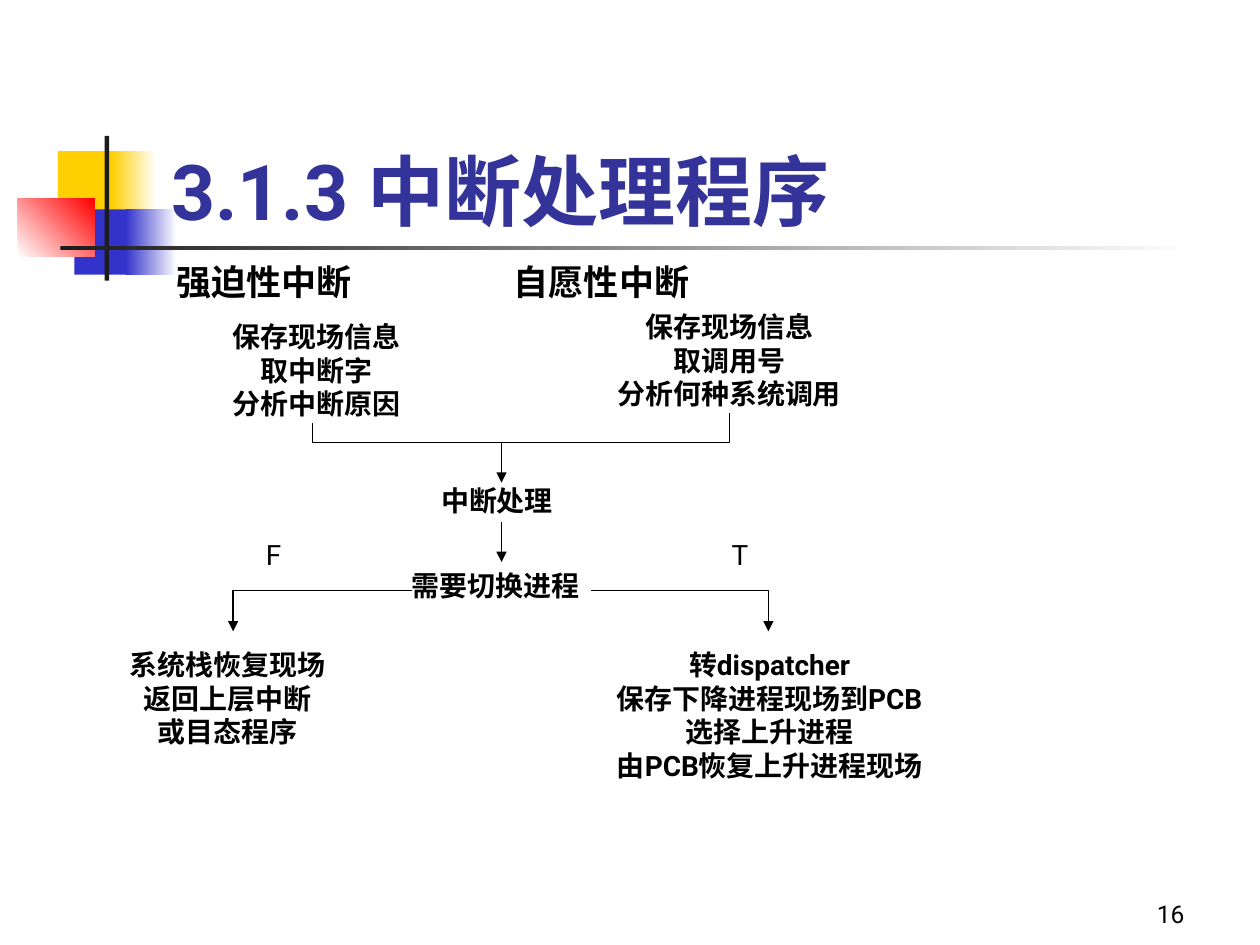
import pptx
import pptx.util
import pptx.dml.color
import pptx.enum.shapes
import pptx.enum.text
import lxml.etree
import pptx.oxml.ns

Cm = pptx.util.Cm
RGB = pptx.dml.color.RGBColor
ALIGN = pptx.enum.text.PP_ALIGN
LEFT, MID, RIGHT = ALIGN.LEFT, ALIGN.CENTER, ALIGN.RIGHT
TOP = pptx.enum.text.MSO_ANCHOR.TOP
LOW = pptx.enum.text.MSO_ANCHOR.BOTTOM

FONT = "Roboto"
BLACK = RGB(0x00, 0x00, 0x00)
WHITE = RGB(0xFF, 0xFF, 0xFF)
GOLD = RGB(0xFF, 0xCF, 0x01)
BLUE = RGB(0x33, 0x33, 0xCC)
RED = RGB(0xFF, 0x00, 0x00)
DARK = RGB(0x1C, 0x1C, 0x1C)
NAVY = RGB(0x33, 0x33, 0x99)

BARS = [
    ((1.17, 3.05, 1.22, 1.32), (GOLD,), 0),
    ((2.24, 3.05, 0.91, 1.32), (GOLD, WHITE), 0),
    ((1.5, 4.22, 1.17, 1.32), (BLUE,), 0),
    ((2.54, 4.22, 1.02, 1.32), (BLUE, WHITE), 0),
    ((0.36, 4.01, 1.55, 1.17), (WHITE, RED), 45),
    ((2.11, 2.74, 0.09, 2.92), (DARK,), 0),
    ((1.22, 4.95, 22.86, 0.09), (DARK, WHITE), 0),
]

TEXTS = [
    ((3.2, 1.7, 21.64, 3.18), ["3.1.3 中断处理程序"], 44, True, NAVY, LEFT, LOW),
    ((3.3, 5.13, 4.8, 1.12), ["强迫性中断"], 20, True, BLACK, LEFT, TOP),
    ((10.11, 5.13, 4.8, 1.12), ["自愿性中断"], 20, True, BLACK, LEFT, TOP),
    ((18.85, 17.58, 5.28, 1.27), ["16"], 14, False, BLACK, RIGHT, LOW),
]

STEPS = [
    ((4.29, 6.32, 4.19, 2.29), ["保存现场信息", "取中断字", "分析中断原因"]),
    ((11.91, 6.12, 5.59, 2.29), ["保存现场信息", "取调用号", "分析何种系统调用"]),
    ((8.18, 9.63, 3.68, 0.94), ["中断处理"]),
    ((7.9, 11.33, 4.19, 0.94), ["需要切换进程"]),
    ((2.29, 12.93, 4.6, 2.29), ["系统栈恢复现场", "返回上层中断", "或目态程序"]),
    ((11.91, 12.93, 7.21, 2.97),
     ["转dispatcher", "保存下降进程现场到PCB", "选择上升进程", "由PCB恢复上升进程现场"]),
]

MARKS = [("F", 5.11), ("T", 14.5)]

JOIN = [(6.3, 8.53), (6.3, 8.92), (14.71, 8.92), (14.71, 8.33)]
FORKS = [
    [(8.31, 11.91), (4.7, 11.91), (4.7, 12.73)],
    [(11.91, 11.91), (15.49, 11.91), (15.49, 12.73)],
]
DOWNS = [(8.92, 9.73), (10.52, 11.33)]
AXIS = 10.11


def add_bar(slide, box, tones, angle):
    rect = pptx.enum.shapes.MSO_SHAPE.RECTANGLE
    bar = slide.shapes.add_shape(rect, *map(Cm, box))
    bar.shadow.inherit = False
    bar.line.fill.background()
    if len(tones) == 1:
        bar.fill.solid()
        bar.fill.fore_color.rgb = tones[0]
        return
    bar.fill.gradient()
    bar.fill.gradient_angle = angle
    for stop, tone, place in zip(bar.fill.gradient_stops, tones, (0, 1)):
        stop.color.rgb = tone
        stop.position = place


def add_text(slide, box, lines, size=16, bold=True, tone=BLACK, align=MID, anchor=TOP):
    frame = slide.shapes.add_textbox(*map(Cm, box)).text_frame
    frame.word_wrap = True
    frame.vertical_anchor = anchor
    frame.text = "\n".join(lines)
    for para in frame.paragraphs:
        para.alignment = align
        for run in para.runs:
            run.font.name = FONT
            run.font.size = pptx.util.Pt(size)
            run.font.bold = bold
            run.font.color.rgb = tone


def style_line(shape, arrow):
    shape.line.color.rgb = BLACK
    shape.line.width = pptx.util.Pt(0.75)
    if arrow:
        tag = pptx.oxml.ns.qn("a:tailEnd")
        lxml.etree.SubElement(shape.line._get_or_add_ln(), tag, type="triangle")


def add_bend(slide, points, arrow):
    spots = [(Cm(x), Cm(y)) for x, y in points]
    pen = slide.shapes.build_freeform(*spots[0])
    pen.add_line_segments(spots[1:], close=False)
    bend = pen.convert_to_shape()
    bend.shadow.inherit = False
    bend.fill.background()
    style_line(bend, arrow)


def add_down(slide, start, end):
    kind = pptx.enum.shapes.MSO_CONNECTOR.STRAIGHT
    down = slide.shapes.add_connector(kind, Cm(AXIS), Cm(start), Cm(AXIS), Cm(end))
    style_line(down, True)
    tag = pptx.oxml.ns.qn("a:effectLst")
    lxml.etree.SubElement(down._element.spPr, tag)


def main():
    deck = pptx.Presentation()
    deck.slide_width, deck.slide_height = Cm(25.4), Cm(19.05)
    slide = deck.slides.add_slide(deck.slide_layouts[6])
    for bar in BARS:
        add_bar(slide, *bar)
    for text in TEXTS + STEPS:
        add_text(slide, *text)
    for mark, left in MARKS:
        add_text(slide, (left, 10.72, 0.81, 0.94), [mark], bold=False, align=LEFT)
    add_bend(slide, JOIN, False)
    for fork in FORKS:
        add_bend(slide, fork, True)
    for start, end in DOWNS:
        add_down(slide, start, end)
    deck.save("out.pptx")


if __name__ == "__main__":
    main()
